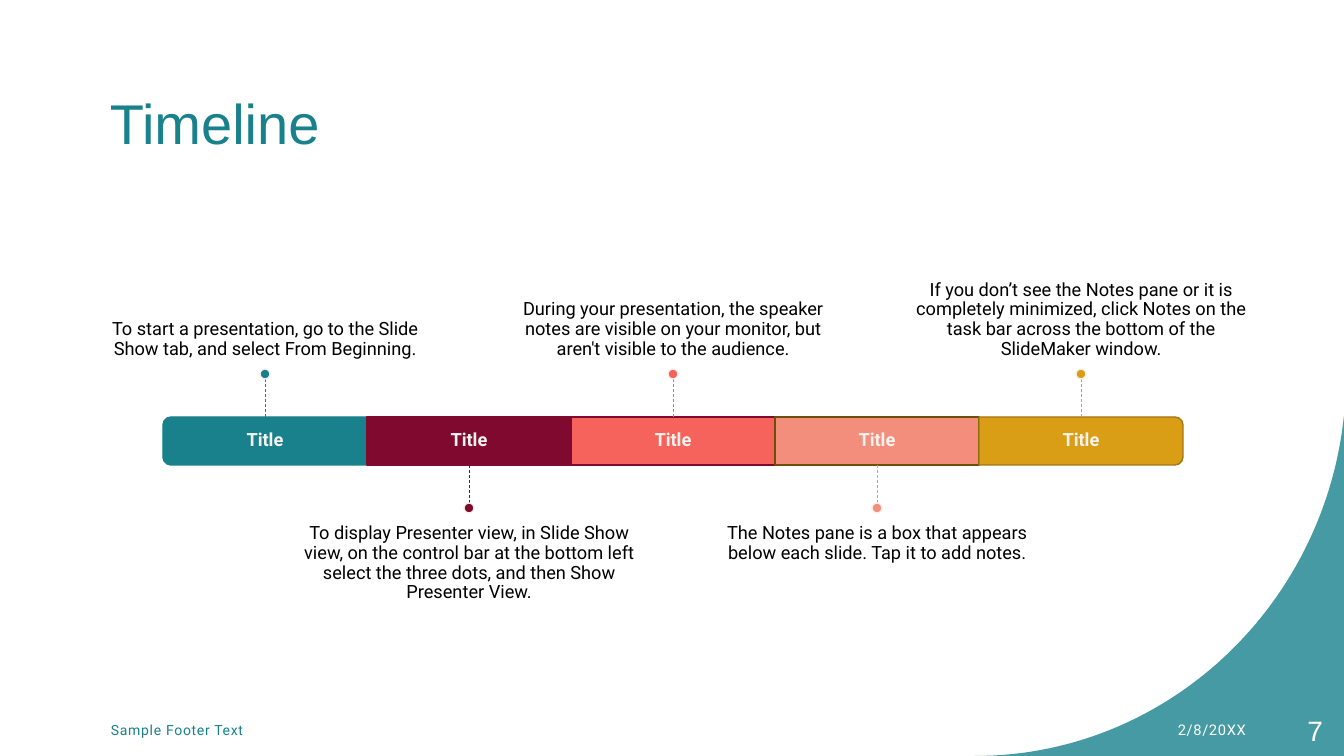
"""Build a five-step timeline slide."""
import lxml.etree
import pptx
import pptx.dml.color
import pptx.enum.dml
import pptx.enum.shapes
import pptx.enum.text
import pptx.oxml.ns
import pptx.util

WIDTH, HEIGHT = 1344, 756
BAR_LEFT, BAR_MIDDLE, BAR_WIDTH, BAR_HEIGHT = 163, 441, 204, 48
NOTE_WIDTH, NOTE_HEIGHT, DOT = 341, 168, 10
COLORS = {
    "teal": "18818C", "wine": "800A2F", "coral": "F6635C", "salmon": "F48E7C",
    "gold": "DA9D16", "brown": "6D4E0B", "bronze": "A37610",
    "cream": "F4F2EC", "black": "000000", "white": "FFFFFF",
}
SHAPES = pptx.enum.shapes.MSO_SHAPE
ALIGN = pptx.enum.text.PP_ALIGN
ANCHOR = pptx.enum.text.MSO_ANCHOR
STEPS = [
    ("teal", "teal", "To start a presentation, go to the Slide Show tab, and select From Beginning."),
    ("wine", "wine", "To display Presenter view, in Slide Show view, on the control bar at the bottom "
                     "left select the three dots, and then Show Presenter View."),
    ("coral", "wine", "During your presentation, the speaker notes are visible on your monitor, "
                      "but aren't visible to the audience."),
    ("salmon", "brown", "The Notes pane is a box that appears below each slide. Tap it to add notes."),
    ("gold", "bronze", "If you don’t see the Notes pane or it is completely minimized, click Notes "
                       "on the task bar across the bottom of the SlideMaker window."),
]


def px(length):
    """Turn slide pixels into EMU."""
    return round(length * 12192000 / WIDTH)


def color(name):
    """Look up a named colour."""
    return pptx.dml.color.RGBColor.from_string(COLORS[name])


def add_text(page, area, text, size, ink, font="Roboto", bold=False, align=ALIGN.LEFT,
             anchor=ANCHOR.MIDDLE, insets=(10, 5, 10, 5), leading=1.0, tracking=0):
    """Add a wrapped text box holding one paragraph."""
    box = page.shapes.add_textbox(*map(px, area))
    frame = box.text_frame
    frame.word_wrap = True
    frame.vertical_anchor = anchor
    frame.margin_left, frame.margin_top, frame.margin_right, frame.margin_bottom = map(px, insets)
    para = frame.paragraphs[0]
    para.text = text
    para.alignment = align
    para.line_spacing = leading
    para.font.name = font
    para.font.size = pptx.util.Pt(size)
    para.font.bold = bold
    para.font.color.rgb = color(ink)
    if tracking:
        para.font._rPr.set("spc", str(tracking))


def add_solid(page, kind, area, fill, outline):
    """Add a filled preset shape with a one-point outline."""
    shape = page.shapes.add_shape(kind, *map(px, area))
    shape.shadow.inherit = False
    shape.fill.solid()
    shape.fill.fore_color.rgb = color(fill)
    shape.line.color.rgb = color(outline)
    shape.line.width = pptx.util.Pt(1)
    return shape


def add_bar(page, index, center, fill, outline):
    """Add one bar segment, rounded at the ends of the timeline."""
    if index in (0, len(STEPS) - 1):
        area = (center - BAR_HEIGHT / 2, BAR_MIDDLE - BAR_WIDTH / 2, BAR_HEIGHT, BAR_WIDTH)
        bar = add_solid(page, SHAPES.ROUND_2_SAME_RECTANGLE, area, fill, outline)
        bar.rotation = 90 if index else 270
    else:
        area = (center - BAR_WIDTH / 2, BAR_MIDDLE - BAR_HEIGHT / 2, BAR_WIDTH, BAR_HEIGHT)
        add_solid(page, SHAPES.RECTANGLE, area, fill, outline)


def add_stem(page, center, start, end, ink):
    """Add a thin dashed vertical line."""
    stem = page.shapes.add_connector(pptx.enum.shapes.MSO_CONNECTOR.STRAIGHT,
                                     px(center), px(start), px(center), px(end))
    stem.line.color.rgb = color(ink)
    stem.line.width = pptx.util.Pt(0.5)
    stem.line.dash_style = pptx.enum.dml.MSO_LINE.DASH
    lxml.etree.SubElement(stem._element.spPr, pptx.oxml.ns.qn("a:effectLst"))


def add_step(page, index, fill, outline, note):
    """Add a segment with its label, note, stem and dot."""
    center = BAR_LEFT + BAR_WIDTH * index + BAR_WIDTH / 2
    above = index % 2 == 0
    side = -1 if above else 1
    edge = BAR_MIDDLE + side * BAR_HEIGHT / 2
    dot_middle = BAR_MIDDLE + side * 67
    add_bar(page, index, center, fill, outline)
    label_area = (center - BAR_WIDTH / 2, BAR_MIDDLE - BAR_HEIGHT / 2, BAR_WIDTH, BAR_HEIGHT)
    add_text(page, label_area, "Title", 13, "cream", bold=True, align=ALIGN.CENTER,
             insets=(11, 11, 11, 11), leading=0.9)
    note_area = (center - NOTE_WIDTH / 2, 202 if above else 513, NOTE_WIDTH, NOTE_HEIGHT)
    add_text(page, note_area, note, 13, "black", align=ALIGN.CENTER,
             anchor=ANCHOR.BOTTOM if above else ANCHOR.TOP,
             insets=(0, 0, 0, 11) if above else (0, 11, 0, 0), leading=0.9)
    add_stem(page, center, edge, dot_middle - side * DOT / 2, fill)
    add_solid(page, SHAPES.OVAL, (center - DOT / 2, dot_middle - DOT / 2, DOT, DOT), fill, "cream")


def add_corner(page):
    """Add the translucent curved corner."""
    controls = [(975, 756), (1166, 756), (1324, 607), (1344, 416)]
    curve = []
    for step in range(61):
        t = step / 60
        weights = ((1 - t) ** 3, 3 * t * (1 - t) ** 2, 3 * t * t * (1 - t), t ** 3)
        curve.append(tuple(px(sum(w * point[axis] for w, point in zip(weights, controls)))
                           for axis in (0, 1)))
    builder = page.shapes.build_freeform(*curve[0])
    builder.add_line_segments(curve[1:] + [(px(WIDTH), px(HEIGHT))], close=True)
    corner = builder.convert_to_shape()
    corner.shadow.inherit = False
    corner.fill.solid()
    corner.fill.fore_color.rgb = color("teal")
    corner.line.fill.background()
    tint = corner._element.spPr.find(".//" + pptx.oxml.ns.qn("a:srgbClr"))
    lxml.etree.SubElement(tint, pptx.oxml.ns.qn("a:alpha"), val="80000")


def main():
    """Build and save the deck."""
    deck = pptx.Presentation()
    deck.slide_width, deck.slide_height = px(WIDTH), px(HEIGHT)
    page = deck.slides.add_slide(deck.slide_layouts[6])
    add_corner(page)
    add_text(page, (100, 49, 1093, 146), "Timeline", 40, "teal", font="Arial")
    for index, (fill, outline, note) in enumerate(STEPS):
        add_step(page, index, fill, outline, note)
    add_text(page, (101, 710, 416, 40), "Sample Footer Text", 10, "teal", tracking=50)
    add_text(page, (1028, 710, 228, 40), "2/8/20XX", 10.5, "white", align=ALIGN.RIGHT, tracking=50)
    add_text(page, (1256, 710, 77, 40), "7", 20, "white", font="Arial", align=ALIGN.RIGHT)
    deck.save("out.pptx")


if __name__ == "__main__":
    main()
